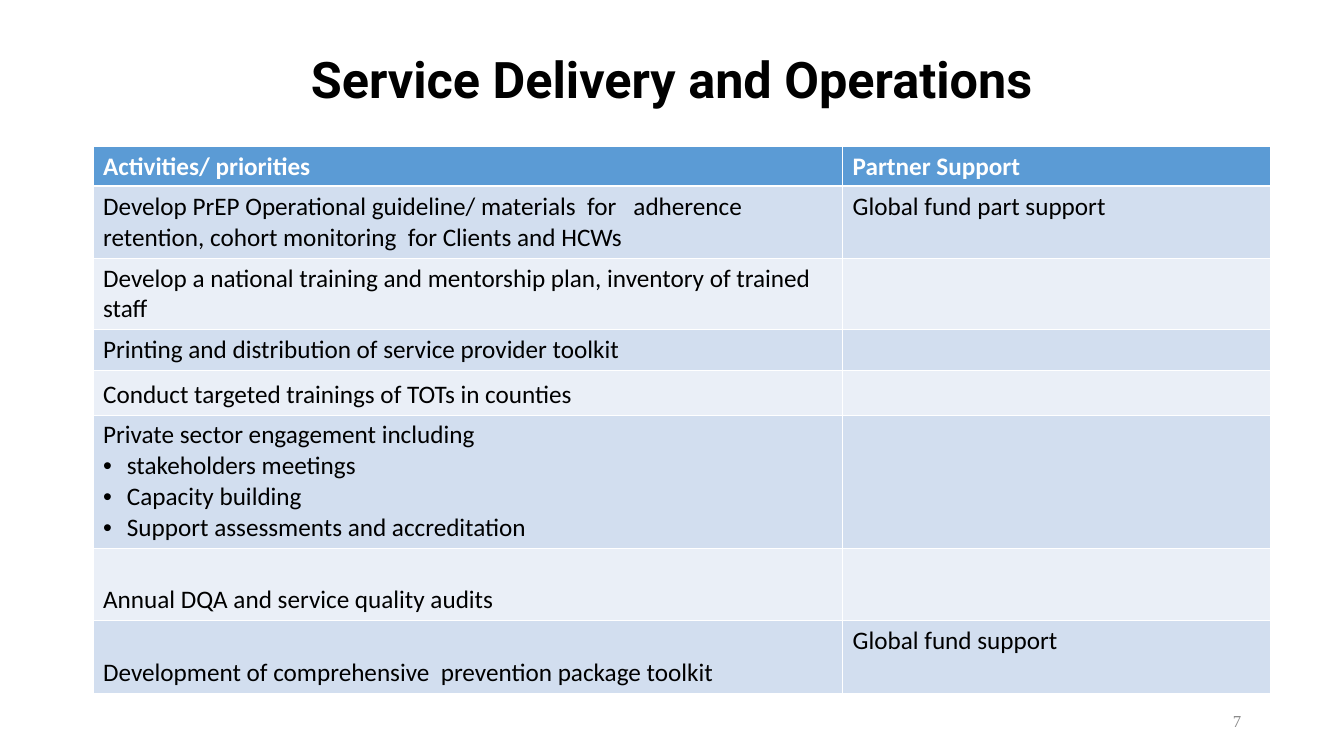
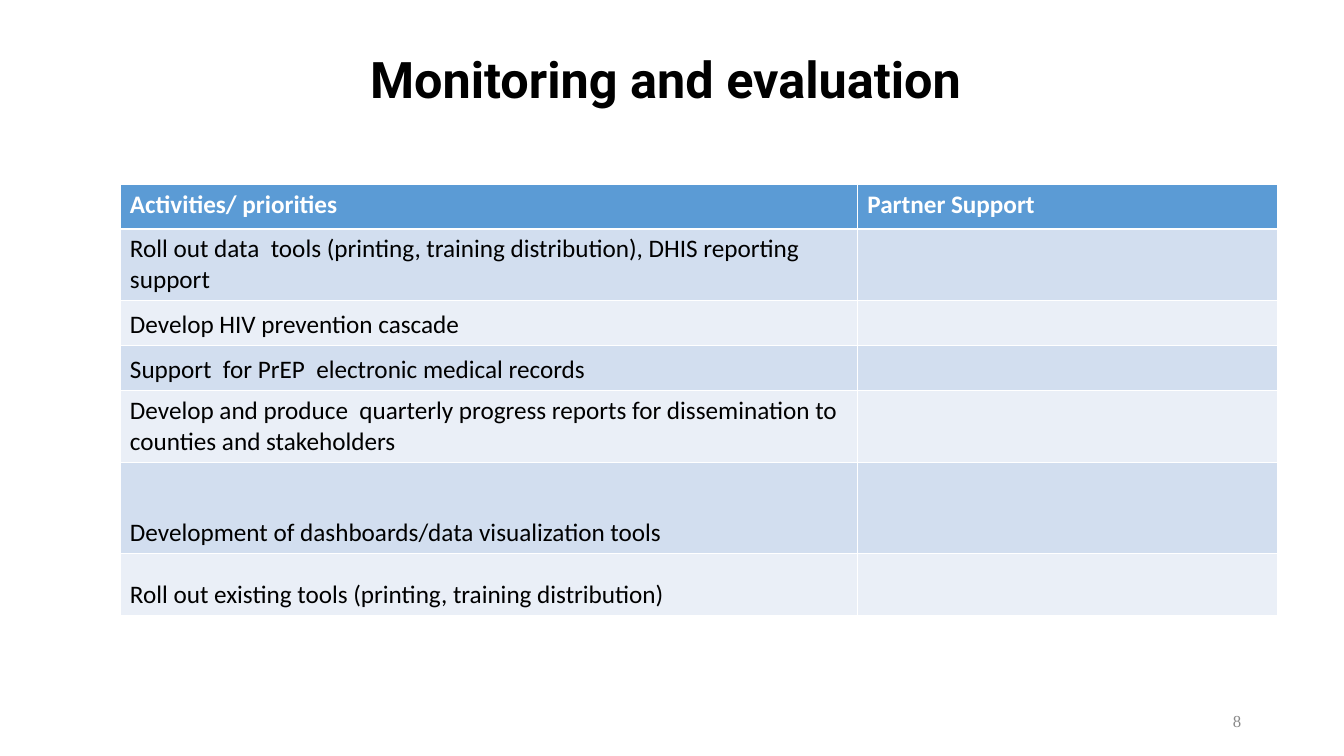
from dataclasses import dataclass

from lxml import etree
from pptx import Presentation
from pptx.dml.color import RGBColor
from pptx.enum.text import MSO_ANCHOR, PP_ALIGN
from pptx.oxml.ns import qn
from pptx.util import Pt

LEFT, CENTER, RIGHT = PP_ALIGN.LEFT, PP_ALIGN.CENTER, PP_ALIGN.RIGHT
TOP, MIDDLE, BOTTOM = MSO_ANCHOR.TOP, MSO_ANCHOR.MIDDLE, MSO_ANCHOR.BOTTOM

# Shared look
BLACK, WHITE, GRAY = "000000", "FFFFFF", "898989"
BLUE = "5B9BD5"
BANDS = ("D2DEEF", "EAEFF7")
THIN, THICK = 0.45, 1.47
INDENT = 17
HEADS = ("Activities/ priorities", "Partner Support")


@dataclass
class Row:
    height: float
    task: str
    partner: str = ""
    points: tuple[str, ...] = ()


@dataclass
class Page:
    number: int
    title: str
    left: float
    top: float
    widths: tuple[float, float]
    head: float
    rows: list[Row]


PAGES = [
    Page(7, "Service Delivery and Operations", 66.5, 104.3, (535.7, 305.3), 28.8, [
        Row(51.2, "Develop PrEP Operational guideline/ materials  for   adherence "
            "retention, cohort monitoring  for Clients and HCWs",
            "Global fund part support"),
        Row(51.2, "Develop a national training and mentorship plan, "
            "inventory of trained staff"),
        Row(29.2, "Printing and distribution of service provider toolkit"),
        Row(31.7, "Conduct targeted trainings of TOTs in counties"),
        Row(95, "Private sector engagement including",
            points=("stakeholders meetings", "Capacity building",
                    "Support assessments and accreditation")),
        Row(51.8, "Annual DQA and service quality audits"),
        Row(51.8, "Development of comprehensive  prevention package toolkit",
            "Global fund support"),
    ]),
    Page(8, "Monitoring and evaluation ", 85.7, 131.7, (527, 300.2), 31.7, [
        Row(51.2, "Roll out data  tools (printing, training distribution), "
            "DHIS reporting support"),
        Row(32.2, "Develop HIV prevention cascade"),
        Row(32.2, "Support  for PrEP  electronic medical records"),
        Row(51.2, "Develop and produce  quarterly progress reports for "
            "dissemination to counties and stakeholders"),
        Row(64.8, "Development of dashboards/data visualization tools"),
        Row(44.3, "Roll out existing tools (printing, training distribution)"),
    ]),
]


def color(code: str) -> RGBColor:
    return RGBColor.from_string(code)


def write(para, text: str, *, size: float = 18, font: str = "Calibri",
          ink: str = BLACK, bold: bool = False, align=LEFT,
          space: float = 1, bullet: bool = False) -> None:
    """Fill one paragraph with formatted text."""
    if bullet:
        props = para._p.get_or_add_pPr()
        props.set("marL", str(Pt(INDENT)))
        props.set("indent", str(-Pt(INDENT)))
        etree.SubElement(props, qn("a:buFont"), typeface="Arial")
        etree.SubElement(props, qn("a:buChar"), char="•")
    para.alignment = align
    para.line_spacing = space
    run = para.add_run()
    run.text = text
    run.font.size = Pt(size)
    run.font.name = font
    run.font.bold = bold
    run.font.color.rgb = color(ink)


def add_box(slide, left: float, top: float, width: float, height: float,
            text: str, **form) -> None:
    box = slide.shapes.add_textbox(Pt(left), Pt(top), Pt(width), Pt(height))
    frame = box.text_frame
    frame.word_wrap = True
    frame.vertical_anchor = MIDDLE
    write(frame.paragraphs[0], text, **form)


def edge(cell, **sides: float) -> None:
    """Draw white cell borders; they must come before the fill."""
    props = cell._tc.get_or_add_tcPr()
    for spot, (side, width) in enumerate(sides.items()):
        line = etree.Element(qn(f"a:ln{side}"), w=str(Pt(width)))
        fill = etree.SubElement(line, qn("a:solidFill"))
        etree.SubElement(fill, qn("a:srgbClr"), val=WHITE)
        props.insert(spot, line)


def add_grid(slide, page: Page) -> None:
    heights = [page.head] + [row.height for row in page.rows]
    table = slide.shapes.add_table(
        len(heights), len(HEADS), Pt(page.left), Pt(page.top),
        Pt(sum(page.widths)), Pt(sum(heights))).table
    table.horz_banding = False
    for column, width in zip(table.columns, page.widths):
        column.width = Pt(width)
    for line, height in zip(table.rows, heights):
        line.height = Pt(height)

    # Text
    for cell, head in zip(table.rows[0].cells, HEADS):
        write(cell.text_frame.paragraphs[0], head, ink=WHITE, bold=True)
    for index, row in enumerate(page.rows, 1):
        task, partner = table.rows[index].cells
        task.vertical_anchor = BOTTOM
        write(task.text_frame.paragraphs[0], row.task)
        for point in row.points:
            write(task.text_frame.add_paragraph(), point, bullet=True)
        if row.partner:
            partner.vertical_anchor = TOP
            write(partner.text_frame.paragraphs[0], row.partner)

    # Fills and borders
    for index, line in enumerate(table.rows):
        for cell in line.cells:
            cell.fill.solid()
            cell.fill.fore_color.rgb = color(
                BANDS[(index - 1) % 2] if index else BLUE)
            edge(cell, L=THIN, R=THIN, T=THICK if index == 1 else THIN,
                 B=THIN if index else THICK)


def add_page(deck, page: Page) -> None:
    slide = deck.slides.add_slide(deck.slide_layouts[6])
    add_box(slide, 66.2, 28.8, 828, 60.5, page.title, size=36, font="Roboto",
            bold=True, align=CENTER, space=0.9)
    add_grid(slide, page)
    add_box(slide, 678.2, 500.4, 216, 28.8, str(page.number), size=12,
            font="Times New Roman", ink=GRAY, align=RIGHT)


def main() -> None:
    deck = Presentation()
    deck.slide_width, deck.slide_height = Pt(960.5), Pt(540)
    for page in PAGES:
        add_page(deck, page)
    deck.save("out.pptx")


if __name__ == "__main__":
    main()
